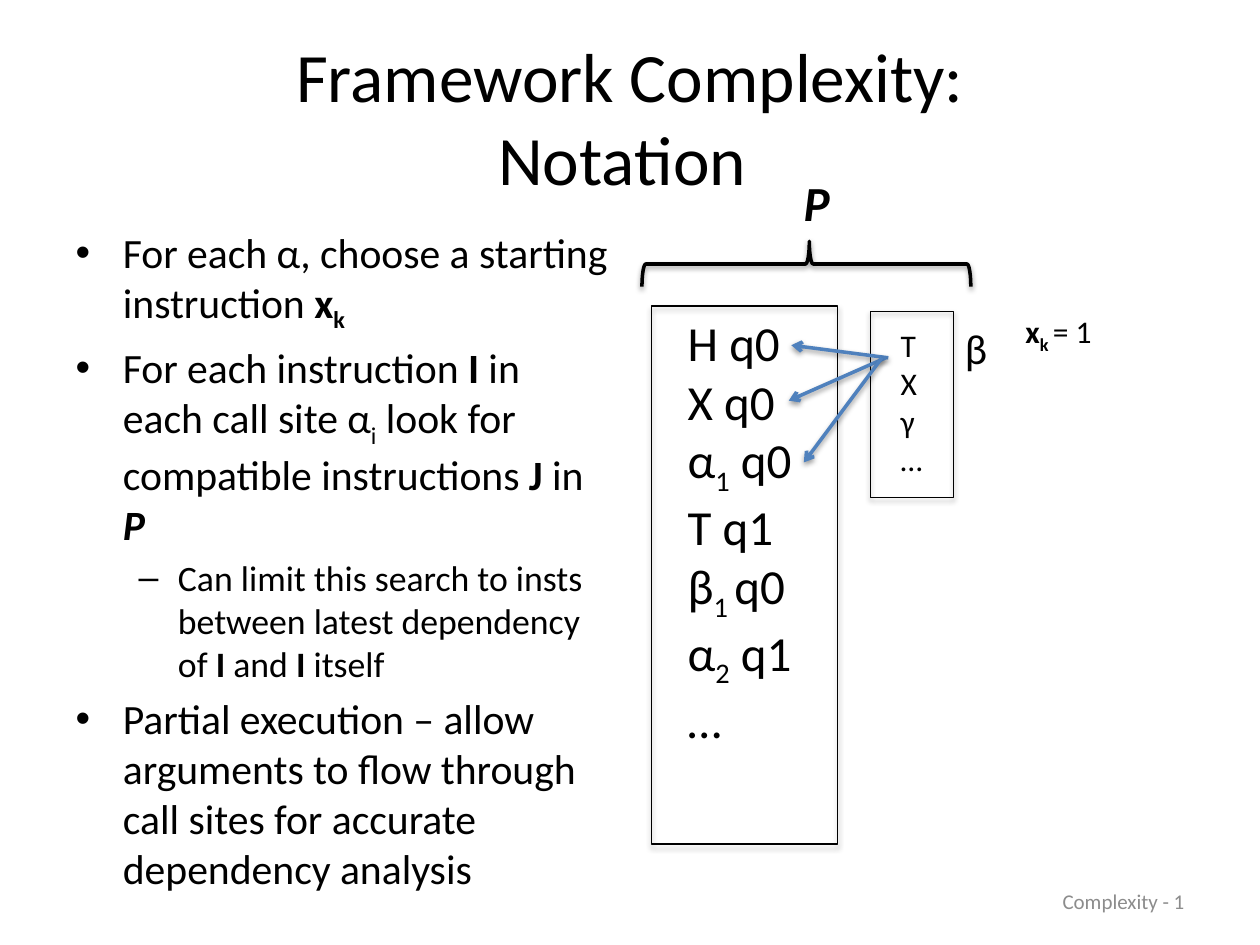
from dataclasses import dataclass

import lxml.etree
import pptx
import pptx.dml.color
import pptx.enum.shapes
import pptx.enum.text
import pptx.oxml.ns
import pptx.util

Inches = pptx.util.Inches
Pt = pptx.util.Pt
RGBColor = pptx.dml.color.RGBColor
Align = pptx.enum.text.PP_ALIGN
Anchor = pptx.enum.text.MSO_ANCHOR
AutoSize = pptx.enum.text.MSO_AUTO_SIZE
Preset = pptx.enum.shapes.MSO_SHAPE
qn = pptx.oxml.ns.qn

BLACK = RGBColor(0, 0, 0)
GRAY = RGBColor(0x8C, 0x8C, 0x8C)
BLUE = RGBColor(0x4F, 0x81, 0xBD)
FONT = "Calibri"


@dataclass(frozen=True)
class Span:
    text: str
    bold: bool = False
    italic: bool = False
    subscript: bool = False


@dataclass(frozen=True)
class Line:
    spans: tuple[Span, ...]
    size: float
    level: int = 0


@dataclass(frozen=True)
class Label:
    frame: tuple[float, float, float, float]
    lines: tuple[Line, ...]
    wrap: bool = False
    color: RGBColor = BLACK
    align: Align = Align.LEFT
    anchor: Anchor = Anchor.TOP
    auto_size: AutoSize = AutoSize.SHAPE_TO_FIT_TEXT


@dataclass(frozen=True)
class Outline:
    preset: Preset
    frame: tuple[float, float, float, float]
    weight: float
    shadow_opacity: int
    shadow_distance: float
    rotation: float = 0
    adjustments: tuple[float, ...] = ()


@dataclass(frozen=True)
class Arrow:
    start: tuple[float, float]
    end: tuple[float, float]


def line(size: float, *parts: str | Span, level: int = 0) -> Line:
    spans = tuple(Span(part) if isinstance(part, str) else part for part in parts)
    return Line(spans, size, level)


def bold(text: str, italic: bool = False) -> Span:
    return Span(text, bold=True, italic=italic)


def sub(text: str, heavy: bool = False) -> Span:
    return Span(text, bold=heavy, subscript=True)


BULLETS = (
    line(23.8, "For each α, choose a starting instruction ", bold("x"), sub("k", True)),
    line(23.8, "For each instruction ", bold("I"), " in each call site α", sub("i"),
         " look for compatible instructions ", bold("J"), " in ", bold("P", True)),
    line(20.4, "Can limit this search to insts between latest dependency of ",
         bold("I"), " and ", bold("I"), " itself", level=1),
    line(23.8, "Partial execution – allow arguments to flow through call sites "
               "for accurate dependency analysis"),
)

PROGRAM = (
    line(28, "H q0"),
    line(28, "X q0"),
    line(28, "α", sub("1"), " q0"),
    line(28, "T q1"),
    line(28, "β", sub("1 "), "q0"),
    line(28, "α", sub("2"), " q1"),
    line(28, "…"),
)

LABELS = (
    Label((7.17, 6.95, 2.33, 0.4), (line(12, "Complexity - 1"),), True, GRAY,
          Align.RIGHT, Anchor.MIDDLE, AutoSize.NONE),
    Label((5.36, 2.43, 1.54, 3.4), PROGRAM, True),
    Label((6.28, 1.32, 0.51, 0.57), (line(28, bold("P", True)),)),
    Label((7.56, 2.51, 0.38, 0.5), (line(24, "β"),)),
    Label((7.05, 2.54, 0.41, 1.31), tuple(line(18, text) for text in "TXγ…"), True),
    Label((8.04, 2.43, 0.75, 0.4), (line(18, bold("x"), sub("k ", True), "= 1"),)),
)

OUTLINES = (
    Outline(Preset.RECTANGLE, (5.17, 2.43, 1.48, 4.27), 0.75, 35, 1.8),
    Outline(Preset.RECTANGLE, (6.91, 2.47, 0.66, 1.48), 0.75, 35, 1.8),
    Outline(Preset.RIGHT_BRACE, (6.22, 0.79, 0.36, 2.61), 2, 38, 1.6, 270, (0.083, 0.509)),
)

ARROWS = (
    Arrow((7.05, 2.84), (6.28, 2.74)),
    Arrow((7.03, 2.84), (6.26, 3.18)),
    Arrow((7, 2.84), (6.38, 3.67)),
)


def write_lines(text_frame, lines: tuple[Line, ...], color: RGBColor = BLACK) -> None:
    for index, content in enumerate(lines):
        para = text_frame.add_paragraph() if index else text_frame.paragraphs[0]
        para.level = content.level
        for part in content.spans:
            span = para.add_run()
            span.text = part.text
            style_font(span.font, content.size, color)
            span.font.bold = part.bold
            span.font.italic = part.italic
            if part.subscript:
                span._r.get_or_add_rPr().set("baseline", "-25000")


def style_font(font, size: float, color: RGBColor) -> None:
    font.name = FONT
    font.size = Pt(size)
    font.color.rgb = color


def place(shape, frame: tuple[float, float, float, float]) -> None:
    shape.left, shape.top, shape.width, shape.height = map(Inches, frame)


def add_shadow(properties, opacity: int, distance: float) -> None:
    effects = properties.find(qn("a:effectLst"))
    if effects is None:
        effects = lxml.etree.SubElement(properties, qn("a:effectLst"))
    shadow = lxml.etree.SubElement(
        effects, qn("a:outerShdw"), blurRad=str(Pt(3.1)), dist=str(Pt(distance)),
        dir="5400000", rotWithShape="0")
    color = lxml.etree.SubElement(shadow, qn("a:srgbClr"), val=str(BLACK))
    lxml.etree.SubElement(color, qn("a:alpha"), val=str(opacity * 1000))


def draw_label(page, label: Label) -> None:
    box = page.shapes.add_textbox(*map(Inches, label.frame))
    frame = box.text_frame
    frame.word_wrap = label.wrap
    frame.auto_size = label.auto_size
    frame.vertical_anchor = label.anchor
    write_lines(frame, label.lines, label.color)
    for para in frame.paragraphs:
        para.alignment = label.align


def draw_outline(page, outline: Outline) -> None:
    shape = page.shapes.add_shape(outline.preset, *map(Inches, outline.frame))
    shape.rotation = outline.rotation
    for index, value in enumerate(outline.adjustments):
        shape.adjustments[index] = value
    shape.fill.background()
    shape.line.color.rgb = BLACK
    shape.line.width = Pt(outline.weight)
    shape.shadow.inherit = False
    add_shadow(shape._element.spPr, outline.shadow_opacity, outline.shadow_distance)


def draw_arrow(page, arrow: Arrow) -> None:
    connector = page.shapes.add_connector(
        pptx.enum.shapes.MSO_CONNECTOR.STRAIGHT, *map(Inches, arrow.start + arrow.end))
    connector.line.color.rgb = BLUE
    connector.line.width = Pt(2)
    properties = connector._element.spPr
    lxml.etree.SubElement(properties.find(qn("a:ln")), qn("a:tailEnd"), type="arrow")
    add_shadow(properties, 38, 1.6)


def main() -> None:
    deck = pptx.Presentation()
    deck.slide_width, deck.slide_height = Inches(10), Inches(7.5)
    page = deck.slides.add_slide(deck.slide_layouts[1])

    title = page.shapes.title
    place(title, (0.5, 0.3, 9, 1.25))
    title.text_frame.auto_size = AutoSize.NONE
    heading = title.text_frame.paragraphs[0]
    heading.text = "Framework Complexity:\vNotation "
    for span in heading.runs:
        style_font(span.font, 39.6, BLACK)

    body = page.placeholders[1]
    place(body, (0.5, 1.75, 4.42, 4.95))
    body.text_frame.auto_size = AutoSize.NONE
    write_lines(body.text_frame, BULLETS)

    for outline in OUTLINES:
        draw_outline(page, outline)
    for label in LABELS:
        draw_label(page, label)
    for arrow in ARROWS:
        draw_arrow(page, arrow)
    deck.save("out.pptx")


if __name__ == "__main__":
    main()
